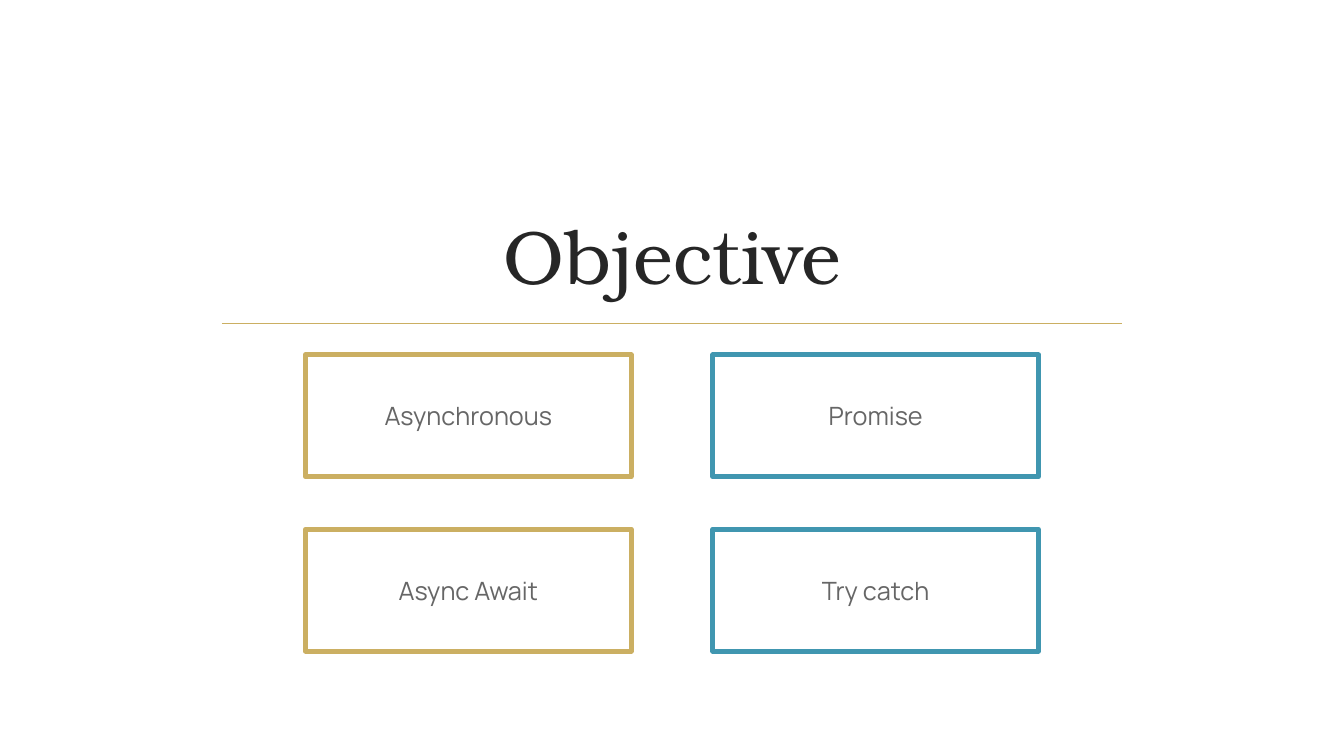
from lxml import etree
from pptx import Presentation
from pptx.dml.color import RGBColor
from pptx.enum import shapes, text
from pptx.oxml import ns
from pptx.util import Inches, Pt

# Content
TITLE = "Objective"
TOPICS = [
    ["Asynchronous", "Promise"],
    ["Async Await", "Try catch"],
]

# Style
GOLD = RGBColor(0xCB, 0xAF, 0x62)
BLUE = RGBColor(0x40, 0x96, 0xB0)
INK = RGBColor(0x26, 0x26, 0x26)
GREY = RGBColor(0x66, 0x66, 0x66)
WHITE = RGBColor(0xFF, 0xFF, 0xFF)
COLUMN_COLORS = [GOLD, BLUE]

# Grid of topic boxes, in inches
GRID_LEFT, GRID_TOP = 3.03, 3.52
BOX_WIDTH, BOX_HEIGHT = 3.23, 1.21
STEP_X, STEP_Y = 4.04, 1.73


def write(shape, words, *, font, size, color, anchor, before=0, after=0):
    frame = shape.text_frame
    frame.word_wrap = True
    frame.vertical_anchor = anchor
    para = frame.paragraphs[0]
    para.alignment = text.PP_ALIGN.CENTER
    para.space_before, para.space_after = Pt(before), Pt(after)
    span = para.add_run()
    span.text = words
    span.font.name = font
    span.font.size = Pt(size)
    span.font.color.rgb = color


def main():
    deck = Presentation()
    deck.slide_width, deck.slide_height = Inches(13.33), Inches(7.5)
    page = deck.slides.add_slide(deck.slide_layouts[6])
    page.background.fill.solid()
    page.background.fill.fore_color.rgb = WHITE

    # Rule under the title
    rule = page.shapes.add_connector(
        shapes.MSO_CONNECTOR.STRAIGHT,
        Inches(2.2), Inches(3.21), Inches(11.13), Inches(3.21))
    rule.line.color.rgb = GOLD
    rule.line.width = Pt(1.25)
    etree.SubElement(rule._element.spPr, ns.qn("a:effectLst"))

    # Title
    title = page.shapes.add_textbox(
        Inches(1.42), Inches(2), Inches(10.5), Inches(1.02))
    write(title, TITLE, font="TeX Gyre Bonum", size=54, color=INK,
          anchor=text.MSO_ANCHOR.BOTTOM)

    # Topic boxes
    for row, topics in enumerate(TOPICS):
        for column, topic in enumerate(topics):
            box = page.shapes.add_shape(
                shapes.MSO_SHAPE.RECTANGLE,
                Inches(GRID_LEFT + column * STEP_X),
                Inches(GRID_TOP + row * STEP_Y),
                Inches(BOX_WIDTH), Inches(BOX_HEIGHT))
            box.shadow.inherit = False
            box.fill.background()
            box.line.color.rgb = COLUMN_COLORS[column]
            box.line.width = Pt(3.5)
            write(box, topic, font="Manrope", size=18, color=GREY,
                  anchor=text.MSO_ANCHOR.MIDDLE, before=3.6, after=6)

    deck.save("out.pptx")


if __name__ == "__main__":
    main()
